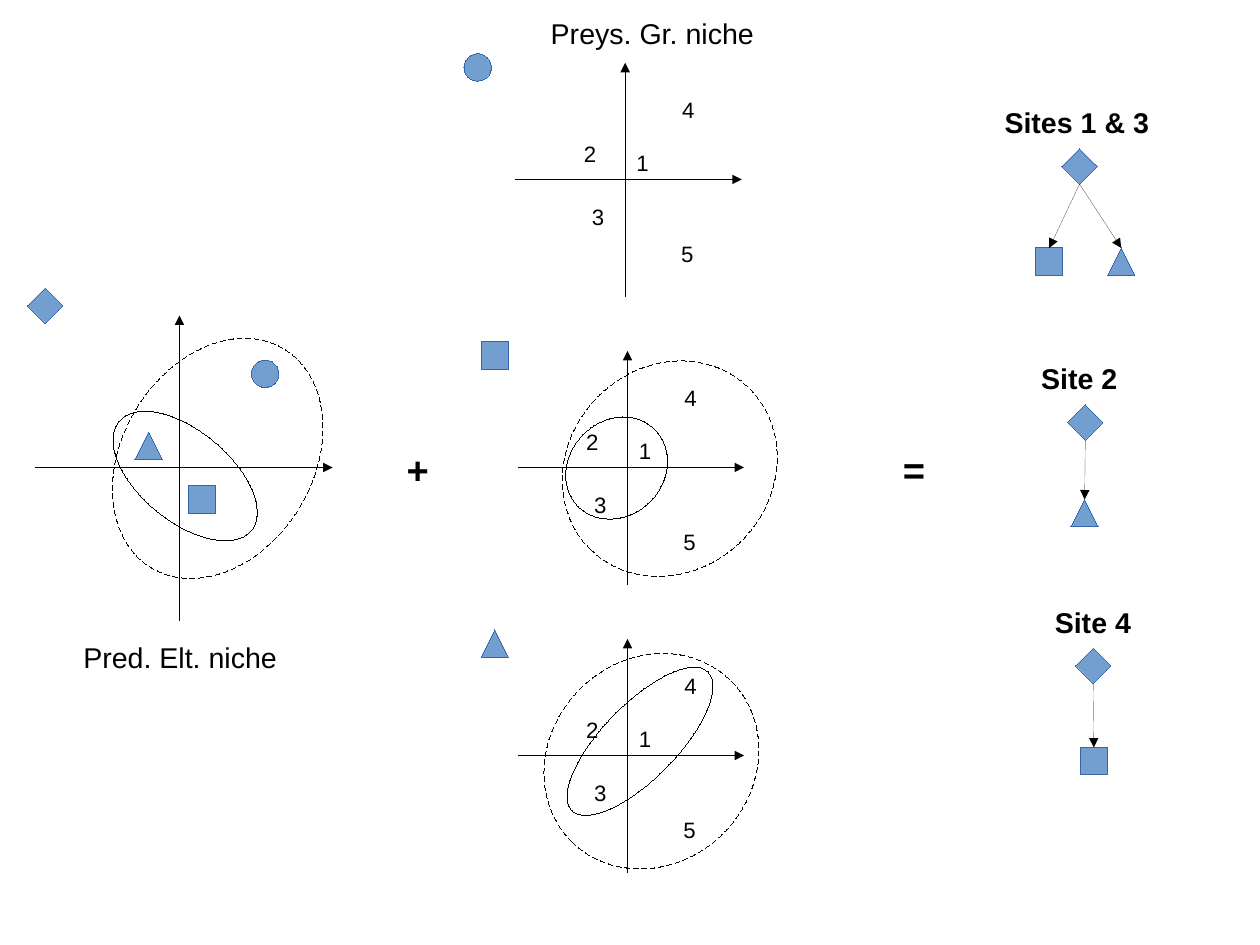
from pptx import Presentation
from pptx.dml.color import RGBColor
from pptx.enum.dml import MSO_LINE
from pptx.enum.shapes import MSO_CONNECTOR, MSO_SHAPE
from pptx.enum.text import MSO_ANCHOR, MSO_AUTO_SIZE
from pptx.oxml.ns import qn
from pptx.util import Cm, Inches, Pt
from lxml import etree

STRAIGHT = MSO_CONNECTOR.STRAIGHT
DASH = MSO_LINE.DASH
TOP = MSO_ANCHOR.TOP
GROW = MSO_AUTO_SIZE.SHAPE_TO_FIT_TEXT
OVAL = MSO_SHAPE.OVAL
KINDS = {"predator": MSO_SHAPE.DIAMOND, "circle": OVAL,
         "square": MSO_SHAPE.RECTANGLE, "triangle": MSO_SHAPE.ISOSCELES_TRIANGLE}

COLORS = {"ink": "000000", "fill": "729FCF", "edge": "3465AF"}
FONT = "Arial"
HAIR = Pt(0.01)  # thinnest line: a width of zero would fall back to the theme
SIZES = {"predator": 0.31, "circle": 0.24, "square": 0.24, "triangle": 0.24}

# Axes: centre x, centre y, then reach to left, right, up, down
PREY_REACH = (0.96, 1.02, 1.02, 1.03)
PRED_AXES = (1.57, 4.09, 1.26, 1.34, 1.33, 1.34)
PREY_AXES = [(5.47, 1.57), (5.49, 4.09), (5.49, 6.61)]

# Site numbers: offset of the box from the centre of the axes
SITES = {"1": (0, -0.31), "2": (-0.46, -0.39), "3": (-0.39, 0.16),
         "4": (0.4, -0.78), "5": (0.39, 0.48)}

# Species: kind, left, top
SPECIES = [("predator", 0.24, 2.52), ("square", 1.65, 4.25),
           ("triangle", 1.18, 3.78), ("circle", 2.2, 3.15),
           ("circle", 4.06, 0.47), ("square", 4.21, 2.99),
           ("triangle", 4.21, 5.51)]

# Niches: left, top, width, height, turn, dashed
NICHES = [(0.87, 3.77, 1.5, 0.79, 39.5, False),
          (1.07, 2.89, 1.67, 2.24, 31.3, True),
          (4.75, 6.16, 1.7, 0.65, 314.4, False),
          (4.71, 5.77, 1.98, 1.78, 314.4, True),
          (4.87, 3.21, 1.98, 1.78, 314.4, True),
          (4.92, 3.68, 0.95, 0.83, 314.4, False)]

# Labels: text, left, top, width, height, points, bold
LABELS = [("Pred. Elt. niche", 0.63, 5.55, 1.92, 0.38, 18, False),
          ("Preys. Gr. niche", 4.72, 0.09, 2, 0.38, 18, False),
          ("+", 3.46, 3.86, 0.39, 0.47, 24, True),
          ("=", 7.8, 3.86, 0.39, 0.47, 24, True),
          ("Sites 1 & 3", 8.69, 0.87, 1.49, 0.38, 18, True),
          ("Site 2", 9.01, 3.11, 0.89, 0.38, 18, True),
          ("Site 4", 9.13, 5.24, 0.89, 0.38, 18, True)]

# Food webs: predator left and top, then its preys
WEBS = [(9.29, 1.3, [("triangle", 9.69, 2.17), ("square", 9.06, 2.17)]),
        (9.34, 3.54, [("triangle", 9.37, 4.37)]),
        (9.41, 5.67, [("square", 9.45, 6.54)])]

deck = Presentation()
deck.slide_width, deck.slide_height = Cm(28), Cm(21)
slide = deck.slides.add_slide(deck.slide_layouts[6])
shapes = slide.shapes


def color(name):
    return RGBColor.from_string(COLORS[name])


def add_form(kind, left, top, wide, high, edge):
    form = shapes.add_shape(kind, *map(Inches, (left, top, wide, high)))
    form.shadow.inherit = False
    form.line.color.rgb = color(edge)
    form.line.width = HAIR
    return form


def add_species(kind, left, top):
    size = SIZES[kind]
    form = add_form(KINDS[kind], left, top, size, size, "edge")
    form.fill.solid()
    form.fill.fore_color.rgb = color("fill")


def add_niche(left, top, wide, high, turn, dashed):
    form = add_form(OVAL, left, top, wide, high, "ink")
    form.fill.background()
    form.rotation = turn
    if dashed:
        form.line.dash_style = DASH


def add_arrow(x1, y1, x2, y2):
    arrow = shapes.add_connector(STRAIGHT, *map(Inches, (x1, y1, x2, y2)))
    arrow.line.color.rgb = color("ink")
    arrow.line.width = HAIR
    props = arrow.element.spPr
    etree.SubElement(props.find(qn("a:ln")), qn("a:tailEnd"), type="triangle")
    etree.SubElement(props, qn("a:effectLst"))


def add_axes(x, y, left, right, up, down):
    add_arrow(x, y + down, x, y - up)
    add_arrow(x - left, y, x + right, y)


def add_label(text, left, top, wide, high, points, bold):
    box = shapes.add_textbox(*map(Inches, (left, top, wide, high)))
    frame = box.text_frame
    frame.word_wrap = False
    frame.auto_size = GROW
    frame.vertical_anchor = TOP
    run = frame.paragraphs[0].add_run()
    run.text = text
    run.font.name, run.font.size, run.font.bold = FONT, Pt(points), bold
    run.font.color.rgb = color("ink")


# Axes and numbered sites
add_axes(*PRED_AXES)
for x, y in PREY_AXES:
    add_axes(x, y, *PREY_REACH)
    for site, (dx, dy) in SITES.items():
        add_label(site, x + dx, y + dy, 0.31, 0.32, 14, False)

# Species, niches and labels
for item in SPECIES:
    add_species(*item)
for niche in NICHES:
    add_niche(*niche)
for label in LABELS:
    add_label(*label)

# Food webs: an arrow from the predator's foot to the top of each prey
for left, top, preys in WEBS:
    size = SIZES["predator"]
    add_species("predator", left, top)
    for kind, x, y in preys:
        add_species(kind, x, y)
        add_arrow(left + size / 2, top + size, x + SIZES[kind] / 2, y)

deck.save("out.pptx")
